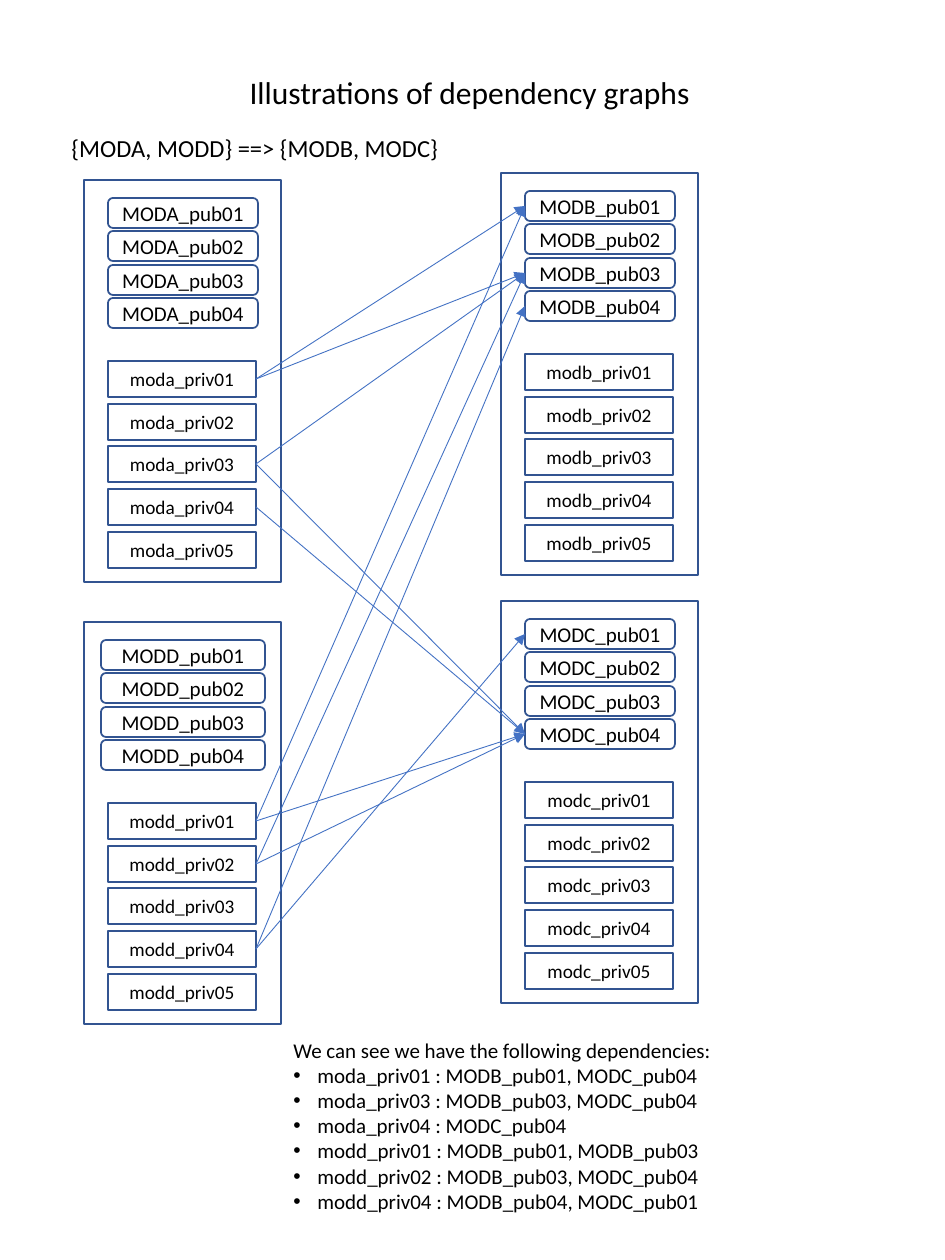
from dataclasses import dataclass
from lxml.etree import SubElement
from pptx import Presentation
from pptx.dml.color import RGBColor
from pptx.enum.shapes import MSO_CONNECTOR, MSO_SHAPE
from pptx.enum.text import MSO_ANCHOR, MSO_AUTO_SIZE, PP_ALIGN
from pptx.oxml.ns import qn
from pptx.util import Emu, Pt

SCALE = 914400 / 126
LEFT, RIGHT = 1, 3  # connection sites


def px(n):
    return Emu(round(n * SCALE))


@dataclass(frozen=True)
class Theme:
    font: str = "Calibri"
    ink: RGBColor = RGBColor(0, 0, 0)
    edge: RGBColor = RGBColor(0x32, 0x54, 0x91)
    link: RGBColor = RGBColor(0x44, 0x72, 0xC4)
    title: int = 18
    intro: int = 14
    body: int = 12
    small: int = 11


class Page:
    def __init__(self, slide, theme):
        self.slide = slide
        self.theme = theme

    def style(self, frame, size, align=PP_ALIGN.LEFT):
        for para in frame.paragraphs:
            para.alignment = align
            for run in para.runs:
                run.font.name = self.theme.font
                run.font.size = Pt(size)
                run.font.color.rgb = self.theme.ink

    def fit(self, shape, text, size):
        frame = shape.text_frame
        frame.text = text
        frame.word_wrap = False
        frame.auto_size = MSO_AUTO_SIZE.SHAPE_TO_FIT_TEXT
        frame.vertical_anchor = MSO_ANCHOR.TOP
        self.style(frame, size)
        return frame

    def title(self, text, x, y, w, h):
        shape = self.slide.shapes.title
        shape.left, shape.top, shape.width, shape.height = map(px, (x, y, w, h))
        frame = self.fit(shape, text, self.theme.title)
        frame.paragraphs[0].line_spacing = 1.0

    def label(self, text, x, y, w, h, size):
        shape = self.slide.shapes.add_textbox(*map(px, (x, y, w, h)))
        return self.fit(shape, text, size)

    def bullet(self, para, indent):
        props = para._p.get_or_add_pPr()
        props.set("marL", str(px(indent)))
        props.set("indent", str(-px(indent)))
        SubElement(props, qn("a:buFont")).set("typeface", "Arial")
        SubElement(props, qn("a:buChar")).set("char", "•")

    def box(self, group, kind, x, y, w, h, text="", size=0):
        shape = group.shapes.add_shape(kind, *map(px, (x, y, w, h)))
        shape.shadow.inherit = False
        shape.fill.background()
        shape.line.color.rgb = self.theme.edge
        shape.line.width = Pt(1)
        if text:
            frame = shape.text_frame
            frame.text = text
            frame.margin_left = frame.margin_right = 0
            frame.vertical_anchor = MSO_ANCHOR.MIDDLE
            self.style(frame, size, PP_ALIGN.CENTER)
        return shape

    def module(self, letter, x, y, inset, width):
        """Draw one module and return its parts by name."""
        group = self.slide.shapes.add_group_shape()
        self.box(group, MSO_SHAPE.RECTANGLE, x, y, 197, 402)
        parts = {}
        for i in range(4):
            name = f"MOD{letter}_pub{i + 1:02}"
            top = y + 18 + round(i * 33.3)
            parts[name] = self.box(group, MSO_SHAPE.ROUNDED_RECTANGLE, x + inset, top,
                                   width, 30, name, self.theme.body)
        for i in range(5):
            name = f"mod{letter.lower()}_priv{i + 1:02}"
            top = y + 181 + round(i * 42.7)
            parts[name] = self.box(group, MSO_SHAPE.RECTANGLE, x + 24, top,
                                   148, 36, name, self.theme.small)
        return parts

    def arrow(self, start, end):
        line = self.slide.shapes.add_connector(MSO_CONNECTOR.STRAIGHT, 0, 0, 0, 0)
        line.begin_connect(start, RIGHT)
        line.end_connect(end, LEFT)
        line.line.color.rgb = self.theme.link
        line.line.width = Pt(0.5)
        SubElement(line.line._get_or_add_ln(), qn("a:tailEnd")).set("type", "triangle")
        SubElement(line._element.spPr, qn("a:effectLst"))


deck = Presentation()
deck.slide_width, deck.slide_height = px(945), px(1260)
theme = Theme()
page = Page(deck.slides.add_slide(deck.slide_layouts[5]), theme)

# Headings
page.title("Illustrations of dependency graphs", 237, 67, 471, 50)
page.label("{MODA, MODD} ==> {MODB, MODC}", 59, 127, 394, 43, theme.intro)

# Modules: letter, left, top, inset and width of the public parts
parts = {}
for spec_row in (("A", 84, 180, 24, 150), ("B", 501, 173, 24, 150),
                 ("C", 501, 601, 24, 150), ("D", 84, 622, 17, 164)):
    parts.update(page.module(*spec_row))

# Dependency arrows
links = {
    "moda_priv01": ("MODB_pub01", "MODB_pub03"),
    "moda_priv03": ("MODB_pub03", "MODC_pub04"),
    "moda_priv04": ("MODC_pub04",),
    "modd_priv01": ("MODB_pub01", "MODC_pub04"),
    "modd_priv02": ("MODB_pub03", "MODC_pub04"),
    "modd_priv04": ("MODB_pub04", "MODC_pub01"),
}
for start, ends in links.items():
    for end in ends:
        page.arrow(parts[start], parts[end])

# Written summary
notes = (
    "We can see we have the following dependencies:",
    "moda_priv01 : MODB_pub01, MODC_pub04",
    "moda_priv03 : MODB_pub03, MODC_pub04",
    "moda_priv04 : MODC_pub04",
    "modd_priv01 : MODB_pub01, MODB_pub03",
    "modd_priv02 : MODB_pub03, MODC_pub04",
    "modd_priv04 : MODB_pub04, MODC_pub01",
)
frame = page.label("\n".join(notes), 281, 1031, 447, 217, theme.body)
for para in frame.paragraphs[1:]:
    page.bullet(para, 24)

deck.save("out.pptx")
